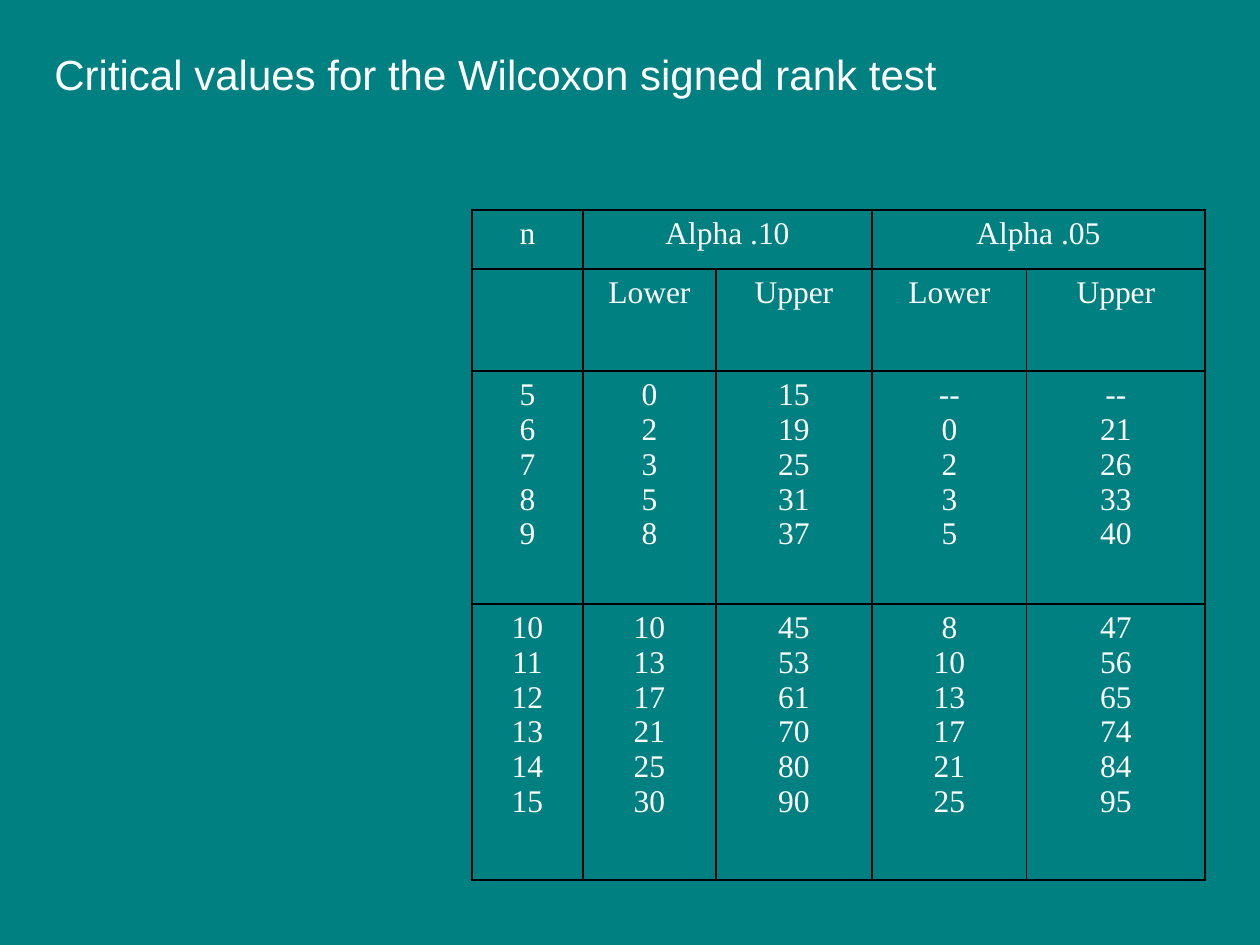
from lxml import etree
from pptx import Presentation, util as u
from pptx.dml.color import RGBColor
from pptx.enum import text
from pptx.oxml.ns import qn

PX = 914400 // 126
COLORS = {"background": "008080", "text": "FFFFFF", "border": "000000"}
TITLE_FONT = {"name": "Arial", "size": u.Pt(24)}
CELL_FONT = {"name": "Times New Roman", "size": u.Pt(18)}
OUTER_LINE, INNER_LINE = 0.96, 0.75
COLUMN_WIDTHS = [111, 133, 156, 155, 178]
ROW_HEIGHTS = [59, 102, 233, 276]
CRITICAL_VALUES = [
    ["n", "Alpha .10", "", "Alpha .05", ""],
    ["", "Lower", "Upper", "Lower", "Upper"],
    ["5 6 7 8 9", "0 2 3 5 8", "15 19 25 31 37",
     "-- 0 2 3 5", "-- 21 26 33 40"],
    ["10 11 12 13 14 15", "10 13 17 21 25 30", "45 53 61 70 80 90",
     "8 10 13 17 21 25", "47 56 65 74 84 95"],
]


def px(n):
    return u.Emu(n * PX)


def add_run(p, words, font):
    r = p.add_run()
    r.text = words
    for name, value in font.items():
        setattr(r.font, name, value)
    r.font.color.rgb = RGBColor.from_string(COLORS["text"])


def add_title(s, words, x, y, w, h):
    sp = s.shapes.add_textbox(px(x), px(y), px(w), px(h))
    tf = sp.text_frame
    tf.word_wrap = True
    tf.auto_size = text.MSO_AUTO_SIZE.SHAPE_TO_FIT_TEXT
    p = tf.paragraphs[0]
    p.space_before = u.Pt(12)
    add_run(p, words, TITLE_FONT)


def set_borders(cell, widths):
    tc_pr = cell._tc.get_or_add_tcPr()
    for i, (side, width) in enumerate(widths.items()):
        ln = etree.Element(qn("a:ln" + side), w=str(u.Pt(width)))
        fill = etree.SubElement(ln, qn("a:solidFill"))
        etree.SubElement(fill, qn("a:srgbClr"), val=COLORS["border"])
        tc_pr.insert(i, ln)


def border_widths(row, col):
    widths = dict.fromkeys("LRTB", OUTER_LINE)
    if row and col:
        widths["R" if col % 2 else "L"] = INNER_LINE
    return widths


def fill_cell(cell, lines):
    tf = cell.text_frame
    for i, line in enumerate(lines):
        p = tf.add_paragraph() if i else tf.paragraphs[0]
        p.alignment = text.PP_ALIGN.CENTER
        add_run(p, line, CELL_FONT)


def add_values_table(s, x, y):
    table = s.shapes.add_table(
        len(ROW_HEIGHTS), len(COLUMN_WIDTHS), px(x), px(y),
        px(sum(COLUMN_WIDTHS)), px(sum(ROW_HEIGHTS))).table
    table.first_row = table.horz_banding = False
    for column, width in zip(table.columns, COLUMN_WIDTHS):
        column.width = px(width)
    for row, height in zip(table.rows, ROW_HEIGHTS):
        row.height = px(height)
    for col in (1, 3):
        table.cell(0, col).merge(table.cell(0, col + 1))
    for i, row in enumerate(CRITICAL_VALUES):
        for j, words in enumerate(row):
            cell = table.cell(i, j)
            cell.fill.background()
            set_borders(cell, border_widths(i, j))
            fill_cell(cell, words.split() if i > 1 else [words] if words else [])


def main():
    prs = Presentation()
    prs.slide_width, prs.slide_height = px(1260), px(945)
    s = prs.slides.add_slide(prs.slide_layouts[6])
    s.background.fill.solid()
    s.background.fill.fore_color.rgb = RGBColor.from_string(COLORS["background"])
    add_values_table(s, 472, 210)
    add_title(s, "Critical values for the Wilcoxon signed rank test", 42, 42, 1113, 63)
    prs.save("out.pptx")


if __name__ == "__main__":
    main()
